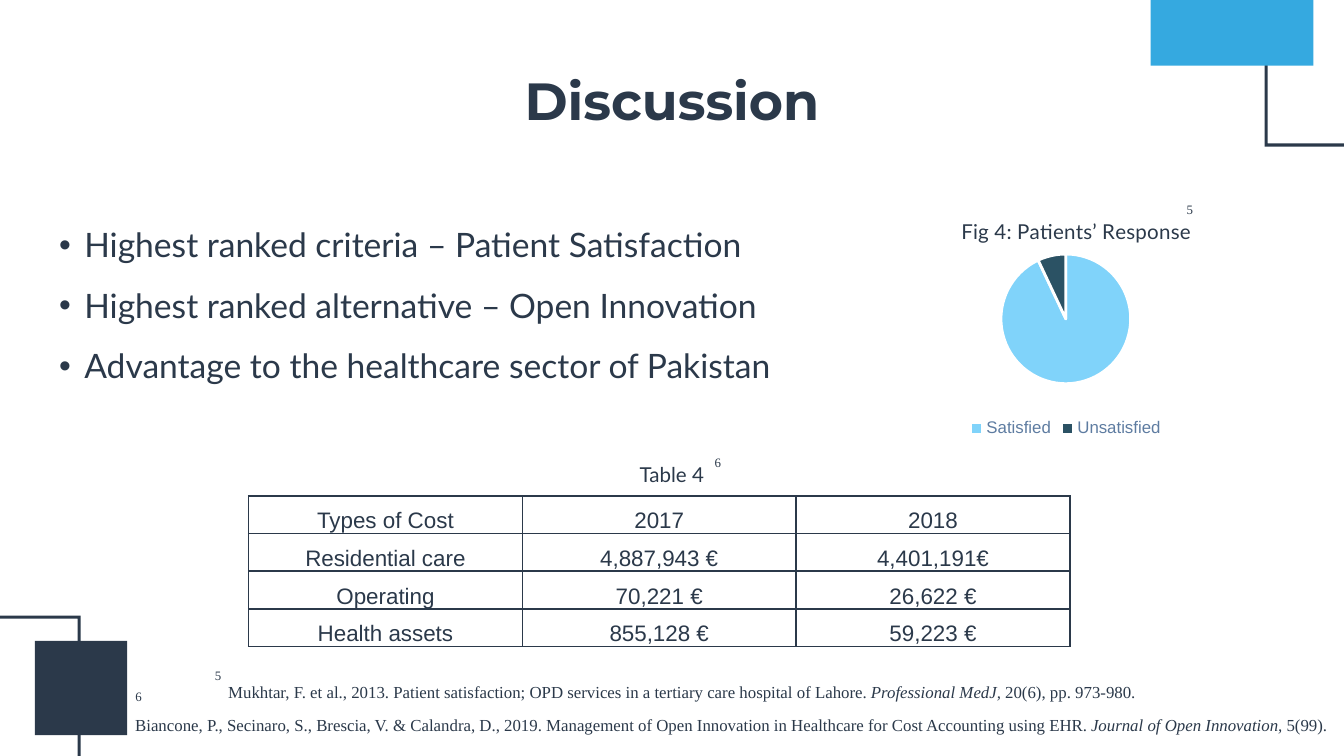
from pptx import Presentation
from pptx.chart.data import CategoryChartData
from pptx.dml.color import RGBColor
from pptx.enum.chart import XL_CHART_TYPE as ChartType, XL_LEGEND_POSITION as LegendPosition
from pptx.enum.shapes import MSO_SHAPE as Preset
from pptx.enum.text import MSO_ANCHOR as Anchor, MSO_AUTO_SIZE as AutoSize, PP_ALIGN as Align
from pptx.oxml import parse_xml
from pptx.oxml.ns import nsdecls
from pptx.util import Pt

NAVY = RGBColor(0x2B, 0x39, 0x4A)
BLUE = RGBColor(0x35, 0xA9, 0xE0)
SKY = RGBColor(0x80, 0xD3, 0xFA)
TEAL = RGBColor(0x2B, 0x52, 0x64)
STEEL = RGBColor(0x5E, 0x7C, 0xA1)
WHITE = RGBColor(0xFF, 0xFF, 0xFF)

BODY_FONT, TITLE_FONT = "Lato", "Montserrat"
DATA_FONT, SERIF_FONT = "Arial", "Times New Roman"


def style_font(font, name, size, color=NAVY):
    font.name, font.size = name, Pt(size)
    font.color.rgb = color


def chart_layout(x, y, width=None, height=None):
    """Manual layout in fractions of the chart; inner plot area if sized."""
    parts = ['<c:xMode val="edge"/><c:yMode val="edge"/>',
             f'<c:x val="{x}"/><c:y val="{y}"/>']
    if width:
        parts.insert(0, '<c:layoutTarget val="inner"/>')
        parts.append(f'<c:w val="{width}"/><c:h val="{height}"/>')
    return parse_xml(f'<c:layout {nsdecls("c")}><c:manualLayout>'
                     f'{"".join(parts)}</c:manualLayout></c:layout>')


class SlideBuilder:
    def __init__(self, slide):
        self.slide = slide
        self.shapes = slide.shapes

    def run(self, paragraph, text, font, size, bold=None, italic=None):
        run = paragraph.add_run()
        run.text = text
        style_font(run.font, font, size)
        run.font.bold, run.font.italic = bold, italic
        return run

    def place(self, shape, left, top, width, height):
        shape.left, shape.top = Pt(left), Pt(top)
        shape.width, shape.height = Pt(width), Pt(height)
        frame = shape.text_frame
        frame.auto_size, frame.vertical_anchor = AutoSize.NONE, Anchor.TOP
        frame.margin_left = frame.margin_right = Pt(7.2)
        frame.margin_top = frame.margin_bottom = Pt(7.2)
        return frame

    def title(self, text, *box):
        paragraph = self.place(self.shapes.title, *box).paragraphs[0]
        paragraph.alignment = Align.CENTER
        self.run(paragraph, text, TITLE_FONT, 28, bold=True)

    def bullets(self, items, *box):
        frame = self.place(self.slide.placeholders[1], *box)
        for index, item in enumerate(items):
            paragraph = frame.add_paragraph() if index else frame.paragraphs[0]
            paragraph.line_spacing, paragraph.space_before = 1.5, Pt(0)
            properties = paragraph._p.get_or_add_pPr()
            properties.set("marL", str(Pt(13.5)))
            properties.set("indent", str(-Pt(13.5)))
            properties.append(parse_xml(f'<a:buClr {nsdecls("a")}><a:srgbClr val="{NAVY}"/></a:buClr>'))
            properties.append(parse_xml(f'<a:buChar {nsdecls("a")} char="•"/>'))
            self.run(paragraph, item, BODY_FONT, 18)

    def fill(self, shape, color):
        shape.shadow.inherit = False
        shape.fill.solid()
        shape.fill.fore_color.rgb = color
        shape.line.fill.background()

    def block(self, color, left, top, width, height):
        shape = self.shapes.add_shape(Preset.RECTANGLE, Pt(left), Pt(top), Pt(width), Pt(height))
        self.fill(shape, color)

    def hollow_frame(self, left, top, width, height, thickness=1.6):
        right, bottom, t = left + width, top + height, thickness
        outer = [(left, top), (left, bottom), (right, bottom), (right, top)]
        inner = [(right - t, top + t), (right - t, bottom - t),
                 (left + t, bottom - t), (left + t, top + t)]
        outer, inner = ([(Pt(x), Pt(y)) for x, y in points] for points in (outer, inner))
        builder = self.shapes.build_freeform(*outer[0])
        builder.add_line_segments(outer[1:], close=True)
        builder.move_to(*inner[0])
        builder.add_line_segments(inner[1:], close=True)
        self.fill(builder.convert_to_shape(), NAVY)

    def text_box(self, left, top, width, height, align=Align.CENTER, wrap=True):
        box = self.shapes.add_textbox(Pt(left), Pt(top), Pt(width), Pt(height))
        box.text_frame.word_wrap = wrap
        box.text_frame.auto_size = AutoSize.SHAPE_TO_FIT_TEXT
        paragraph = box.text_frame.paragraphs[0]
        paragraph.alignment = align
        return paragraph

    def caption(self, text, *box):
        self.run(self.text_box(*box), text, BODY_FONT, 11)

    def reference(self, authors, journal, pages, *box, align=Align.CENTER):
        paragraph = self.text_box(*box, align=align)
        paragraph.line_spacing, paragraph.space_after = 1.07, Pt(8)
        self.run(paragraph, authors, SERIF_FONT, 9)
        self.run(paragraph, journal, SERIF_FONT, 9, italic=True)
        self.run(paragraph, pages, SERIF_FONT, 9)

    def note_mark(self, number, left, top):
        paragraph = self.text_box(left, top, 14.4, 22.3, wrap=False)
        paragraph.line_spacing, paragraph.space_after = 1.07, Pt(8)
        run = self.run(paragraph, number, SERIF_FONT, 12)
        run._r.get_or_add_rPr().set("baseline", "30000")

    def pie(self, title, values, colors, left, top, width, height):
        data = CategoryChartData()
        data.categories = list(values)
        data.add_series("Series 1", list(values.values()))
        chart = self.shapes.add_chart(ChartType.PIE, Pt(left), Pt(top), Pt(width), Pt(height), data).chart
        style_font(chart.font, DATA_FONT, 10)
        paragraph = chart.chart_title.text_frame.paragraphs[0]
        self.run(paragraph, title, BODY_FONT, 11, bold=False)
        chart.chart_title.include_in_layout = False
        chart.has_legend = True
        chart.legend.position = LegendPosition.BOTTOM
        chart.legend.include_in_layout = False
        style_font(chart.legend.font, DATA_FONT, 9, STEEL)
        plot = chart.plots[0]
        plot.vary_by_categories = True
        for index, color in enumerate(colors):
            slice_format = plot.series[0].points[index].format
            slice_format.fill.solid()
            slice_format.fill.fore_color.rgb = color
            slice_format.line.color.rgb = WHITE
            slice_format.line.width = Pt(1.5)
        title_element = chart.chart_title._element
        plot_area = chart._chartSpace.chart.plotArea
        for element in (title_element, plot_area):
            for layout in element.findall("{*}layout"):
                element.remove(layout)
        title_element.find("{*}tx").addnext(chart_layout(0.24, 0.11))
        plot_area.insert(0, chart_layout(0.34, 0.27, 0.32, 0.5))

    def table(self, rows, left, top, width, height):
        table = self.shapes.add_table(len(rows), len(rows[0]), Pt(left), Pt(top),
                                      Pt(width), Pt(height)).table
        table.first_row = table.horz_banding = False
        for row_index, row in enumerate(rows):
            for column_index, text in enumerate(row):
                self.cell(table.cell(row_index, column_index), text)

    def cell(self, cell, text):
        cell.margin_left = cell.margin_right = Pt(5)
        cell.margin_top = cell.margin_bottom = 0
        paragraph = cell.text_frame.paragraphs[0]
        paragraph.alignment, paragraph.line_spacing = Align.CENTER, 1.5
        self.run(paragraph, text, DATA_FONT, 12)
        properties = cell._tc.get_or_add_tcPr()
        for side in ("lnL", "lnR", "lnT", "lnB"):
            properties.append(parse_xml(
                f'<a:{side} {nsdecls("a")} w="{Pt(1)}"><a:solidFill>'
                f'<a:srgbClr val="{NAVY}"/></a:solidFill></a:{side}>'))
        cell.fill.background()


def main():
    presentation = Presentation()
    presentation.slide_width, presentation.slide_height = Pt(720), Pt(405)
    builder = SlideBuilder(presentation.slides.add_slide(presentation.slide_layouts[1]))

    for left, top in ((677.5, -31), (-50.4, 329.8)):
        builder.hollow_frame(left, top, 93.6, 109.5)
    builder.block(NAVY, 18.7, 343.4, 49.5, 50.5)
    builder.block(BLUE, 616.4, -52, 87.2, 87.2)

    builder.title("Discussion", 24.5, 29.5, 671, 45.4)
    builder.bullets(["Highest ranked criteria – Patient Satisfaction",
                     "Highest ranked alternative – Open Innovation",
                     "Advantage to the healthcare sector of Pakistan"], 24.5, 102.2, 428.4, 131.8)
    builder.pie("Fig 4: Patients’ Response", {"Satisfied": 93, "Unsatisfied": 7},
                (SKY, TEAL), 459.4, 98.6, 223.2, 139)
    builder.table([("Types of Cost", "2017", "2018"),
                   ("Residential care", "4,887,943 €", "4,401,191€"),
                   ("Operating", "70,221 €", "26,622 €"),
                   ("Health assets", "855,128 €", "59,223 €")], 133.2, 265.7, 440, 77)
    builder.caption("Table 4", 298, 244, 123.8, 20.9)
    builder.reference("Biancone, P., Secinaro, S., Brescia, V. & Calandra, D., 2019. Management of Open "
                      "Innovation in Healthcare for Cost Accounting using EHR. ",
                      "Journal of Open Innovation, ", "5(99).", 52.6, 378.7, 678.2, 18.7)
    builder.reference("Mukhtar, F. et al., 2013. Patient satisfaction; OPD services in a tertiary care "
                      "hospital of Lahore. ", "Professional MedJ, ", "20(6), pp. 973-980.",
                      115.2, 360.7, 520.6, 18.7, align=Align.LEFT)
    for number, left, top in (("5", 628.6, 102.2), ("6", 375.8, 237.6),
                              ("5", 108, 351.4), ("6", 65.5, 362.9)):
        builder.note_mark(number, left, top)
    presentation.save("out.pptx")


if __name__ == "__main__":
    main()
